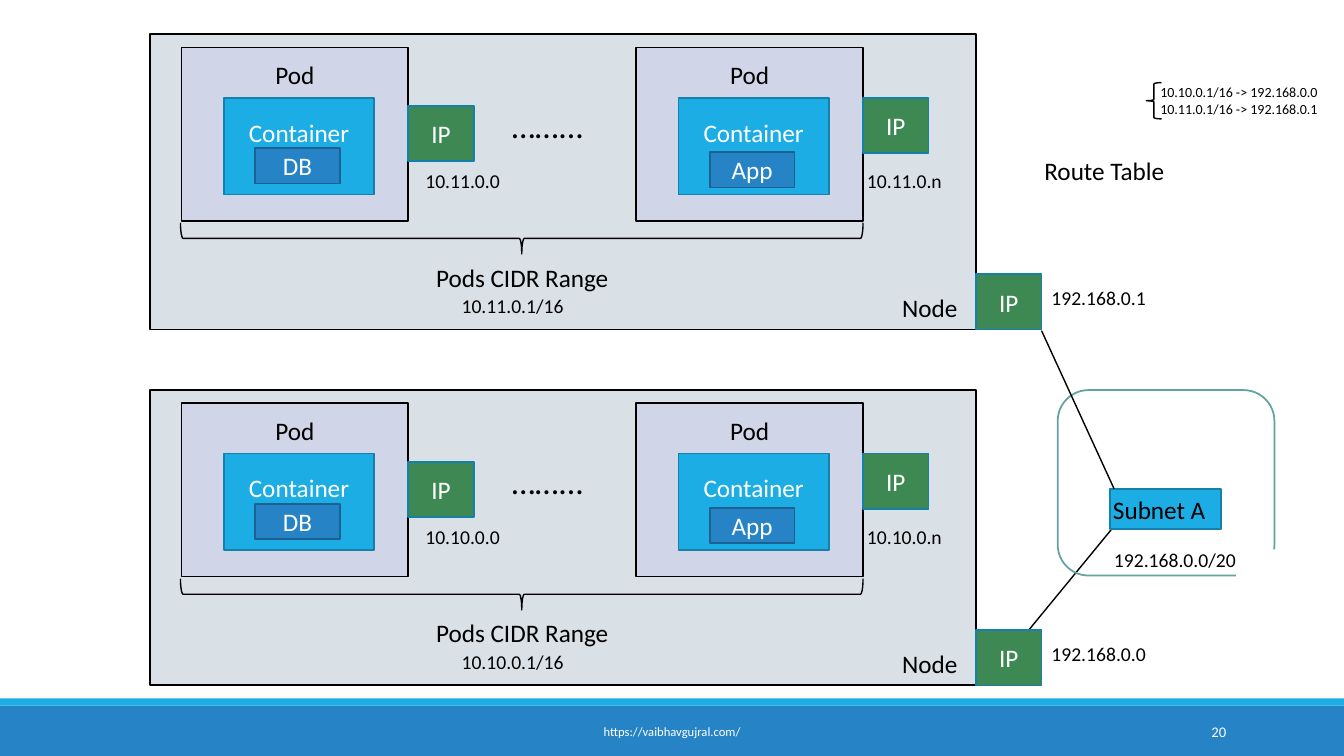
from lxml import etree
from pptx import Presentation
from pptx.dml.color import RGBColor
from pptx.enum import shapes, text
from pptx.oxml.ns import qn
from pptx.util import Inches, Pt

COLORS = {
    "black": "000000", "white": "FFFFFF", "node": "D9E0E6", "pod": "D0D5E7",
    "container": "1CADE4", "edge": "1580A9", "app": "2683C6",
    "app_edge": "1C6192", "ip": "3E8853", "subnet_edge": "62A39F",
}
NODES = [
    {"top": 3.87, "address": "192.168.0.0", "range": "10.10.0.1/16",
     "pods": [("DB", "10.10.0.0"), ("App", "10.10.0.n")]},
    {"top": 0.34, "address": "192.168.0.1", "range": "10.11.0.1/16",
     "pods": [("DB", "10.11.0.0"), ("App", "10.11.0.n")]},
]
PODS = [
    {"left": 1.8, "ip_top": 0.71, "app_top": 1.13, "address_left": 4.12},
    {"left": 6.31, "ip_top": 0.63, "app_top": 1.17, "address_left": 8.5},
]
ROUTES = ["10.10.0.1/16 -> 192.168.0.0", "10.11.0.1/16 -> 192.168.0.1"]
LINKS = [((10.04, 6.45), (11.05, 5.22)), ((10.33, 3.28), (11.05, 4.85))]
NODE_LEFT, NODE_WIDTH, NODE_HEIGHT = 1.49, 8.19, 2.93
POD_WIDTH, POD_HEIGHT = 2.25, 1.72
IP_WIDTH, IP_HEIGHT = 0.65, 0.55

LEFT, CENTER, RIGHT = text.PP_ALIGN.LEFT, text.PP_ALIGN.CENTER, text.PP_ALIGN.RIGHT
TOP, MIDDLE = text.MSO_ANCHOR.TOP, text.MSO_ANCHOR.MIDDLE
KIND = shapes.MSO_SHAPE

deck = Presentation()
deck.slide_width, deck.slide_height = Inches(13.33), Inches(7.5)
slide = deck.slides.add_slide(deck.slide_layouts[6])


def rgb(name):
    return RGBColor.from_string(COLORS[name])


def write(frame, lines, size, color, align, anchor):
    frame.word_wrap = True
    frame.vertical_anchor = anchor
    for i, line in enumerate(lines):
        paragraph = frame.paragraphs[0] if i == 0 else frame.add_paragraph()
        paragraph.alignment = align
        run = paragraph.add_run()
        run.text = line
        run.font.name = "Calibri"
        run.font.size = Pt(size)
        run.font.color.rgb = rgb(color)


def label(box, *lines, size=14, color="black", align=LEFT, anchor=TOP):
    frame = slide.shapes.add_textbox(*map(Inches, box)).text_frame
    write(frame, lines, size, color, align, anchor)


def block(box, fill=None, edge=None, caption=None, color="white",
          inset=None, kind=KIND.RECTANGLE, weight=1.25):
    shape = slide.shapes.add_shape(kind, *map(Inches, box))
    shape.shadow.inherit = False
    if fill:
        shape.fill.solid()
        shape.fill.fore_color.rgb = rgb(fill)
    else:
        shape.fill.background()
    if edge:
        shape.line.color.rgb = rgb(edge)
        shape.line.width = Pt(weight)
    else:
        shape.line.fill.background()
    if caption:
        frame = shape.text_frame
        if inset:
            frame.margin_top = Inches(inset)
        write(frame, [caption], 18, color, CENTER, TOP if inset else MIDDLE)
    return shape


def ip_block(left, top):
    block((left, top, IP_WIDTH, IP_HEIGHT), "ip", "edge", "IP")


def draw_pod(top, place, app, address):
    left = place["left"]
    right = left + POD_WIDTH
    block((left, top + 0.13, POD_WIDTH, POD_HEIGHT), "pod", "black", "Pod", "black", 0.12)
    block((left + 0.42, top + 0.63, 1.49, 0.96), "container", "edge", "Container", inset=0.19)
    ip_block(right, top + place["ip_top"])
    block((left + 0.73, top + place["app_top"], 0.84, 0.35), "app", "app_edge", app)
    label((place["address_left"], top + 1.29, 1.28, 0.34), address)


def draw_node(node):
    top = node["top"]
    right = NODE_LEFT + NODE_WIDTH
    block((NODE_LEFT, top, NODE_WIDTH, NODE_HEIGHT), "node", "black")
    for place, (app, address) in zip(PODS, node["pods"]):
        draw_pod(top, place, app, address)
    label((4.98, top + 0.65, 1.04, 0.5), "……...", size=24)
    brace = block((5.02, top - 1.36, 0.31, 6.77), edge="black", kind=KIND.RIGHT_BRACE, weight=1)
    brace.rotation = 90
    label((4.1, top + 2.21, 2.16, 0.4), "Pods CIDR Range", size=18, align=CENTER)
    label((4.48, top + 2.53, 2.32, 0.34), node["range"])
    label((8.85, top + 2.51, 0.84, 0.4), "Node", size=18)
    ip_block(right, top + NODE_HEIGHT - IP_HEIGHT)
    label((right + 0.65, top + 2.45, 1.63, 0.34), node["address"])


def draw_link(start, end):
    link = slide.shapes.add_connector(
        shapes.MSO_CONNECTOR.STRAIGHT, *map(Inches, start + end))
    link.line.color.rgb = rgb("black")
    link.line.width = Pt(1)
    etree.SubElement(link._element.spPr, qn("a:effectLst"))


block((0, 7, 13.33, 0.5), "app")
block((0, 6.93, 13.33, 0.07), "container")
lower_link, upper_link = LINKS
draw_link(*lower_link)
for node in NODES:
    draw_node(node)

block((10.49, 3.87, 2.15, 1.84), edge="subnet_edge", kind=KIND.ROUNDED_RECTANGLE)
block((12.26, 5.45, 0.74, 0.63), "white")
block((11.01, 4.85, 1.1, 0.4), "container", "edge")
label((10.94, 4.86, 1.31, 0.4), "Subnet A", size=18)
label((10.95, 5.39, 1.63, 0.34), "192.168.0.0/20")
draw_link(*upper_link)

label((10.26, 1.49, 1.84, 0.4), "Route Table", size=18)
label((11.41, 0.78, 1.84, 0.61), *ROUTES, size=10)
block((11.37, 0.82, 0.15, 0.36), edge="black", kind=KIND.LEFT_BRACE, weight=1)

label((10.83, 7.06, 1.43, 0.4), "20", size=10.5, color="white", align=RIGHT, anchor=MIDDLE)
label((4.03, 7.06, 5.27, 0.4), "https://vaibhavgujral.com/", size=9, color="white",
      align=CENTER, anchor=MIDDLE)

deck.save("out.pptx")
